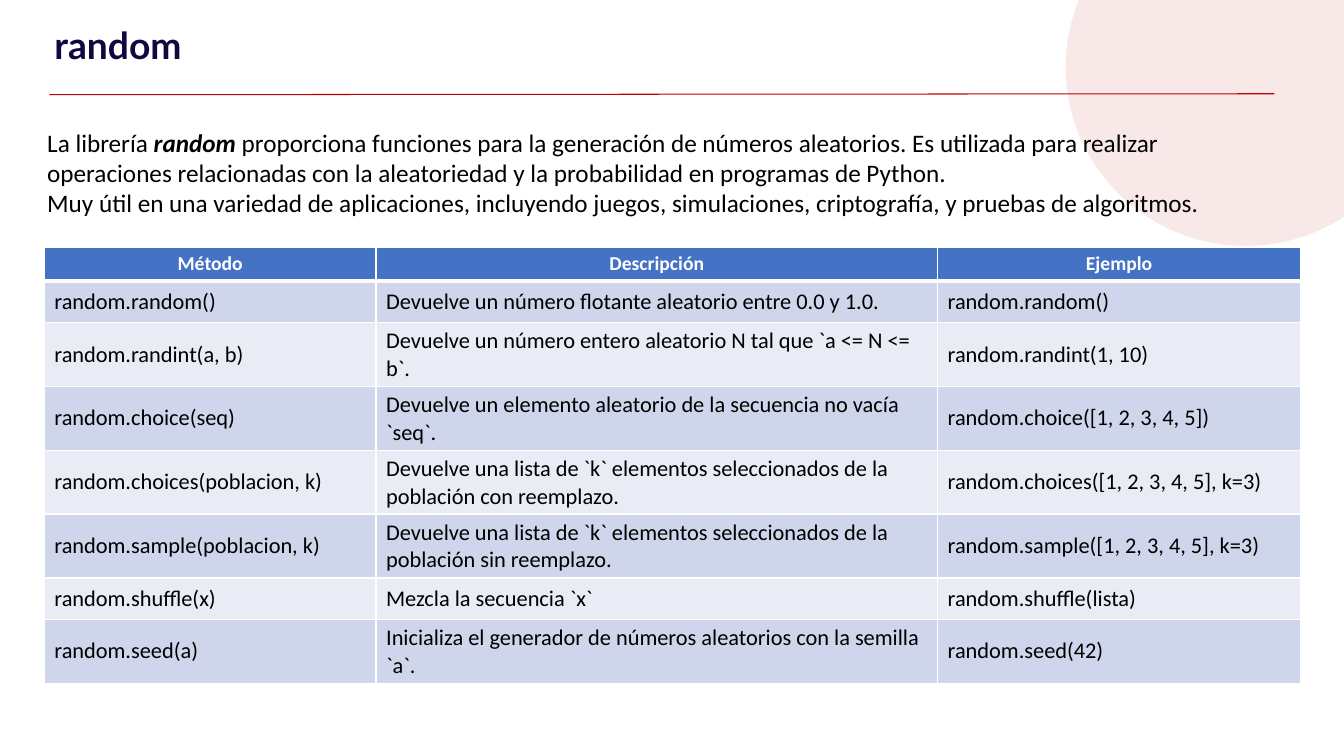
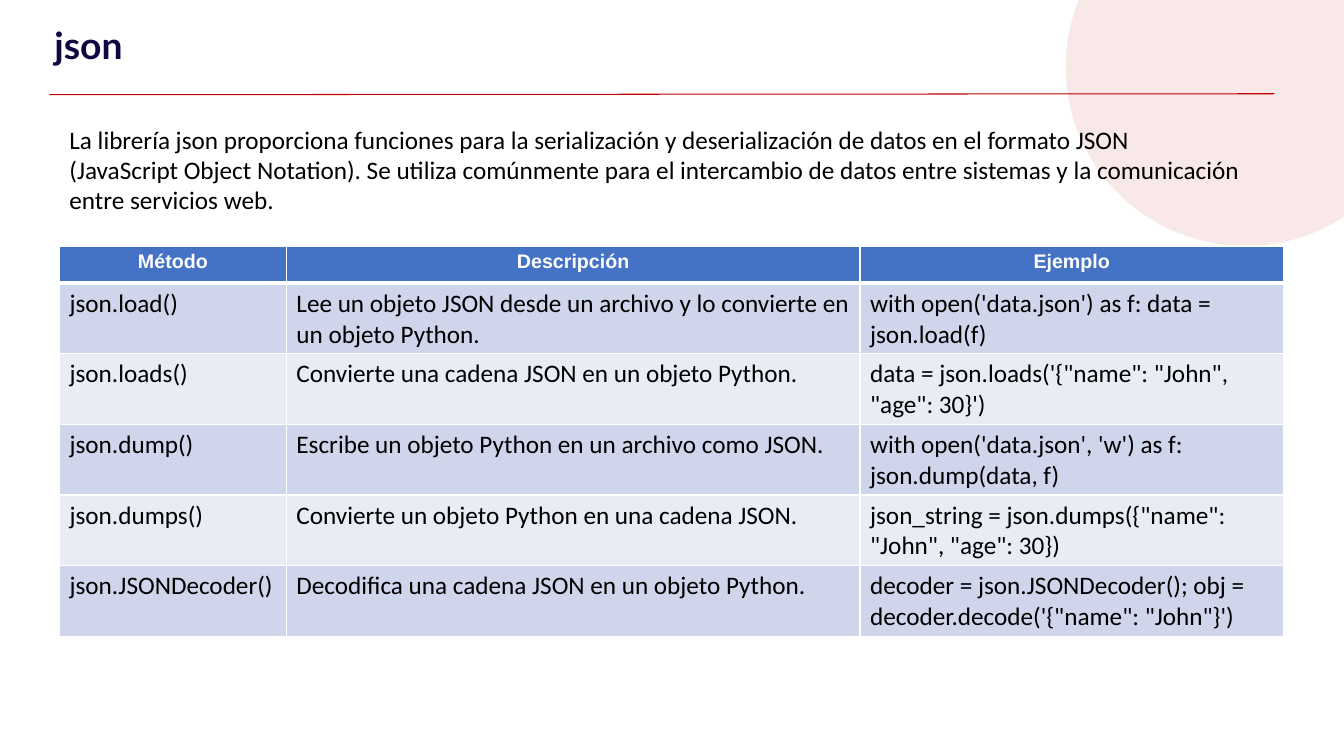
from dataclasses import dataclass

from lxml.etree import SubElement
from pptx import Presentation
from pptx.dml.color import RGBColor
from pptx.enum.shapes import MSO_CONNECTOR as Connector, MSO_SHAPE as Shape
from pptx.enum.text import MSO_ANCHOR as Anchor, PP_ALIGN as Align
from pptx.oxml.ns import qn
from pptx.slide import Slide
from pptx.table import _Cell as Cell
from pptx.text.text import _Run as Run
from pptx.util import Inches, Pt


# Colours, fonts and type sizes
@dataclass(frozen=True)
class Theme:
    accent: str = "C00000"
    title: str = "110741"
    text: str = "000000"
    white: str = "FFFFFF"
    header: str = "4472C4"
    bands: tuple[str, str] = ("CFD5EA", "E9EBF5")
    title_font: str = "Lato"
    body_font: str = "Calibri"
    title_size: float = 26.6
    body_size: float = 18
    header_size: float = 14
    circle_opacity: int = 9
    rule_width: float = 0.75
    border_width: float = 1
    header_border_width: float = 3


THEME = Theme()


@dataclass(frozen=True)
class Box:
    left: float
    top: float
    width: float
    height: float

    def lengths(self) -> tuple[Inches, ...]:
        return tuple(map(Inches, (self.left, self.top, self.width, self.height)))


@dataclass(frozen=True)
class Phrase:
    text: str
    emphasis: bool = False


@dataclass(frozen=True)
class MethodTable:
    box: Box
    columns: tuple[float, ...]
    header_height: float
    rows: tuple[tuple[str, str, str], ...]
    size: float
    anchor: Anchor
    header_font: str = THEME.body_font
    row_height: float = 0.41


@dataclass(frozen=True)
class LibraryPage:
    title: str
    intro_box: Box
    intro: tuple[tuple[Phrase, ...], ...]
    table: MethodTable


# Content
HEADINGS = ("Método", "Descripción", "Ejemplo")

PAGES = (
    LibraryPage(
        title="random",
        intro_box=Box(0.37, 1.21, 12.24, 1.08),
        intro=(
            (
                Phrase("La librería "),
                Phrase("random", emphasis=True),
                Phrase(" proporciona funciones para la generación de números aleatorios. "
                       "Es utilizada para realizar operaciones relacionadas con la "
                       "aleatoriedad y la probabilidad en programas de Python."),
            ),
            (
                Phrase("Muy útil en una variedad de aplicaciones, incluyendo juegos, "
                       "simulaciones, criptografía, y pruebas de algoritmos."),
            ),
        ),
        table=MethodTable(
            box=Box(0.44, 2.45, 12.46, 4.33),
            columns=(3.29, 5.57, 3.6),
            header_height=0.34,
            size=16,
            anchor=Anchor.MIDDLE,
            rows=(
                ("random.random()",
                 "Devuelve un número flotante aleatorio entre 0.0 y 1.0.",
                 "random.random()"),
                ("random.randint(a, b)",
                 "Devuelve un número entero aleatorio N tal que `a <= N <= b`.",
                 "random.randint(1, 10)"),
                ("random.choice(seq)",
                 "Devuelve un elemento aleatorio de la secuencia no vacía `seq`.",
                 "random.choice([1, 2, 3, 4, 5])"),
                ("random.choices(poblacion, k)",
                 "Devuelve una lista de `k` elementos seleccionados de la población con reemplazo.",
                 "random.choices([1, 2, 3, 4, 5], k=3)"),
                ("random.sample(poblacion, k)",
                 "Devuelve una lista de `k` elementos seleccionados de la población sin reemplazo.",
                 "random.sample([1, 2, 3, 4, 5], k=3)"),
                ("random.shuffle(x)",
                 "Mezcla la secuencia `x`",
                 "random.shuffle(lista)"),
                ("random.seed(a)",
                 "Inicializa el generador de números aleatorios con la semilla `a`.",
                 "random.seed(42)"),
            ),
        ),
    ),
    LibraryPage(
        title="json",
        intro_box=Box(0.59, 1.18, 11.81, 5.71),
        intro=(
            (
                Phrase("La librería json proporciona funciones para la serialización y "
                       "deserialización de datos en el formato JSON (JavaScript Object "
                       "Notation). Se utiliza comúnmente para el intercambio de datos entre "
                       "sistemas y la comunicación entre servicios web."),
            ),
        ),
        table=MethodTable(
            box=Box(0.59, 2.44, 12.15, 3.87),
            columns=(2.25, 5.69, 4.2),
            header_height=0.37,
            size=THEME.body_size,
            anchor=Anchor.TOP,
            header_font="Arial",
            rows=(
                ("json.load()",
                 "Lee un objeto JSON desde un archivo y lo convierte en un objeto Python.",
                 "with open('data.json') as f: data = json.load(f)"),
                ("json.loads()",
                 "Convierte una cadena JSON en un objeto Python.",
                 "data = json.loads('{\"name\": \"John\", \"age\": 30}')"),
                ("json.dump()",
                 "Escribe un objeto Python en un archivo como JSON.",
                 "with open('data.json', 'w') as f: json.dump(data, f)"),
                ("json.dumps()",
                 "Convierte un objeto Python en una cadena JSON.",
                 "json_string = json.dumps({\"name\": \"John\", \"age\": 30})"),
                ("json.JSONDecoder()",
                 "Decodifica una cadena JSON en un objeto Python.",
                 "decoder = json.JSONDecoder(); obj = decoder.decode('{\"name\": \"John\"}')"),
            ),
        ),
    ),
)


def style_run(run: Run, font: str, size: float, color: str,
              bold: bool = False, italic: bool = False) -> None:
    run.font.name = font
    run.font.size = Pt(size)
    run.font.color.rgb = RGBColor.from_string(color)
    run.font.bold = bold
    run.font.italic = italic


# Decoration and title shared by every slide
def add_frame(slide: Slide, title: str) -> None:
    circle = slide.shapes.add_shape(Shape.OVAL, *Box(10.57, -1.11, 3.57, 3.55).lengths())
    circle.shadow.inherit = False
    circle.line.fill.background()
    circle.fill.solid()
    circle.fill.fore_color.rgb = RGBColor.from_string(THEME.accent)
    color = circle.fill._xPr.find(f".//{qn('a:srgbClr')}")
    SubElement(color, qn("a:alpha"), val=str(THEME.circle_opacity * 1000))

    rule = slide.shapes.add_connector(
        Connector.STRAIGHT, Inches(0.49), Inches(0.94), Inches(12.64), Inches(0.93))
    rule.line.color.rgb = RGBColor.from_string(THEME.accent)
    rule.line.width = Pt(THEME.rule_width)
    SubElement(rule._element.spPr, qn("a:effectLst"))

    text_frame = slide.shapes.add_textbox(*Box(0.41, 0, 11.47, 0.76).lengths()).text_frame
    text_frame.word_wrap = True
    text_frame.margin_left = text_frame.margin_right = Inches(0.13)
    text_frame.margin_top = text_frame.margin_bottom = Inches(0.38)
    text_frame.text = title
    style_run(text_frame.paragraphs[0].runs[0], THEME.title_font, THEME.title_size,
              THEME.title, bold=True)


# Introductory paragraphs
def add_intro(slide: Slide, page: LibraryPage) -> None:
    text_frame = slide.shapes.add_textbox(*page.intro_box.lengths()).text_frame
    text_frame.word_wrap = True
    for index, phrases in enumerate(page.intro):
        paragraph = text_frame.add_paragraph() if index else text_frame.paragraphs[0]
        for phrase in phrases:
            run = paragraph.add_run()
            run.text = phrase.text
            style_run(run, THEME.body_font, THEME.body_size, THEME.text,
                      bold=phrase.emphasis, italic=phrase.emphasis)


# Table of methods
def add_borders(cell: Cell, bottom_width: float) -> None:
    properties = cell._tc.get_or_add_tcPr()
    for side in "LRTB":
        width = bottom_width if side == "B" else THEME.border_width
        line = SubElement(properties, qn(f"a:ln{side}"), w=str(Pt(width)))
        fill = SubElement(line, qn("a:solidFill"))
        SubElement(fill, qn("a:srgbClr"), val=THEME.white)


def fill_cell(cell: Cell, text: str, row_index: int, spec: MethodTable) -> None:
    is_header = row_index == 0
    if is_header:
        add_borders(cell, THEME.header_border_width)
    cell.fill.solid()
    fill_color = THEME.header if is_header else THEME.bands[(row_index - 1) % 2]
    cell.fill.fore_color.rgb = RGBColor.from_string(fill_color)
    cell.vertical_anchor = Anchor.TOP if is_header else spec.anchor
    cell.text_frame.text = text
    paragraph = cell.text_frame.paragraphs[0]
    if is_header:
        paragraph.alignment = Align.CENTER
        style_run(paragraph.runs[0], spec.header_font, THEME.header_size,
                  THEME.white, bold=True)
    else:
        style_run(paragraph.runs[0], THEME.body_font, spec.size, THEME.text)


def add_method_table(slide: Slide, spec: MethodTable) -> None:
    rows = (HEADINGS, *spec.rows)
    table = slide.shapes.add_table(len(rows), len(HEADINGS), *spec.box.lengths()).table
    for column, width in zip(table.columns, spec.columns):
        column.width = Inches(width)
    for row_index, texts in enumerate(rows):
        height = spec.row_height if row_index else spec.header_height
        table.rows[row_index].height = Inches(height)
        for column_index, text in enumerate(texts):
            fill_cell(table.cell(row_index, column_index), text, row_index, spec)


def main() -> None:
    presentation = Presentation()
    presentation.slide_width = Inches(13.33)
    presentation.slide_height = Inches(7.5)
    blank_layout = presentation.slide_layouts[6]
    for page in PAGES:
        slide = presentation.slides.add_slide(blank_layout)
        add_frame(slide, page.title)
        add_intro(slide, page)
        add_method_table(slide, page.table)
    presentation.save("out.pptx")


if __name__ == "__main__":
    main()
